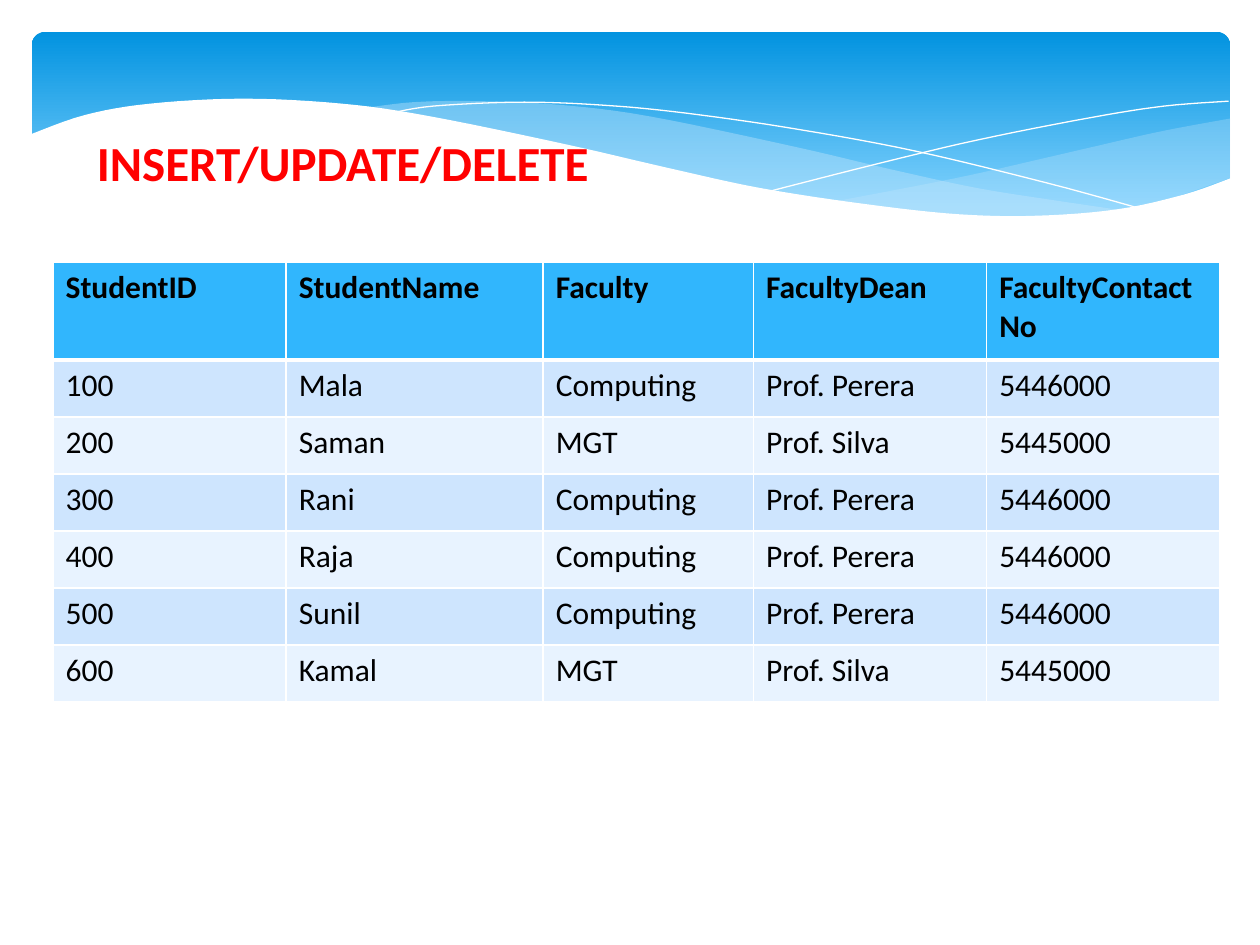
from dataclasses import dataclass

from lxml.etree import SubElement
from pptx import Presentation
from pptx.dml.color import RGBColor
from pptx.enum.shapes import MSO_SHAPE
from pptx.enum.text import MSO_ANCHOR, MSO_AUTO_SIZE, PP_ALIGN
from pptx.oxml.ns import qn
from pptx.util import Cm, Pt


@dataclass(frozen=True)
class Theme:
    font: str = "Calibri"
    title_size: int = 28
    table_size: int = 18
    title: str = "FF0000"
    text: str = "000000"
    paper: str = "FFFFFF"
    banner_top: str = "0293E0"
    banner_bottom: str = "83D3FE"
    wave: str = "C6E7FC"
    header: str = "31B6FD"
    bands: tuple = ("CEE5FE", "E8F3FF")


THEME = Theme()

# Edges of the waves, in centimetres from the banner's top left corner.
RIGHT_WAVE = [
    [(24.16, 1.75), (22.76, 2.01), (21.23, 2.36), (19.15, 2.84), (17.88, 3.1), (16.15, 3.43)],
    [(16.15, 3.43), (17.27, 3.56), (18.59, 3.68), (20.04, 3.73), (21.29, 3.68), (22.56, 3.48),
     (24.16, 2.95)],
]
MIDDLE_WAVE = [
    [(6.63, 1.55), (7.7, 1.42), (9.02, 1.4), (10.59, 1.47), (12.42, 1.7), (15.34, 2.31),
     (17.3, 2.77), (19.05, 3.15), (20.62, 3.4), (22.05, 3.61)],
    [(22.05, 3.61), (21.13, 3.71), (19.86, 3.76), (18.36, 3.68), (16.64, 3.51), (14.63, 3.18),
     (12.83, 2.79), (10.77, 2.31), (9.09, 1.93), (7.57, 1.65), (6.63, 1.55)],
]
FALLING_LINE = [
    [(7.21, 1.65), (8.1, 1.5), (9.93, 1.42), (11.79, 1.5), (13.49, 1.68), (15.52, 1.98),
     (17.83, 2.41), (20.47, 3.05), (22.4, 3.58)],
]
RISING_LINE = [
    [(14.94, 3.2), (17.02, 2.67), (19.08, 2.18), (21.36, 1.73), (22.83, 1.5), (24.13, 1.4)],
]
PAPER_WAVE = [
    [(-0.05, 2.08), (1.07, 1.68), (2.39, 1.45), (4.27, 1.35), (6.25, 1.45), (8, 1.7),
     (10.72, 2.26), (12.8, 2.74), (14.68, 3.15), (16.84, 3.48), (18.69, 3.68), (20.27, 3.71),
     (21.89, 3.58), (23.24, 3.28), (24.18, 2.95)],
    [(24.18, 5.05), (-0.05, 5.05)],
]

COLUMN_WIDTHS = [4.7, 5.18, 4.24, 4.7, 4.7]
HEADER_HEIGHT, ROW_HEIGHT = 1.97, 1.15
HEADINGS = ["StudentID", "StudentName", "Faculty", "FacultyDean", "FacultyContactNo"]
FACULTIES = {"Computing": ("Prof. Perera", "5446000"), "MGT": ("Prof. Silva", "5445000")}
STUDENTS = [
    ("100", "Mala", "Computing"),
    ("200", "Saman", "MGT"),
    ("300", "Rani", "Computing"),
    ("400", "Raja", "Computing"),
    ("500", "Sunil", "Computing"),
    ("600", "Kamal", "MGT"),
]


def rgb(value):
    return RGBColor.from_string(value)


def smooth(points, steps=6):
    """Run a Catmull-Rom curve through the points."""
    if len(points) < 3:
        return points
    padded = [points[0], *points, points[-1]]
    curve = [points[0]]
    for a, b, c, d in zip(padded, padded[1:], padded[2:], padded[3:]):
        for step in range(1, steps + 1):
            t = step / steps
            curve.append(tuple(
                (2 * q + (r - p) * t + (2 * p - 5 * q + 4 * r - s) * t ** 2
                 + (3 * q - p - 3 * r + s) * t ** 3) / 2
                for p, q, r, s in zip(a, b, c, d)))
    return curve


def add_outline(page, left, top, edges, closed):
    points = [(Cm(left + x), Cm(top + y)) for edge in edges for x, y in smooth(edge)]
    builder = page.shapes.build_freeform(*points[0])
    builder.add_line_segments(points[1:], close=closed)
    outline = builder.convert_to_shape()
    outline.shadow.inherit = False
    return outline


def add_wave(page, left, top, edges, color, opacity=100):
    wave = add_outline(page, left, top, edges, closed=True)
    wave.line.fill.background()
    wave.fill.solid()
    wave.fill.fore_color.rgb = rgb(color)
    if opacity < 100:
        tint = wave.fill._xPr.find(".//" + qn("a:srgbClr"))
        SubElement(tint, qn("a:alpha"), val=str(opacity * 1000))


def add_hairline(page, left, top, edges):
    hairline = add_outline(page, left, top, edges, closed=False)
    hairline.fill.background()
    hairline.line.color.rgb = rgb(THEME.paper)
    hairline.line.width = Pt(0)


def add_banner(page, left, top, width, height):
    banner = page.shapes.add_shape(
        MSO_SHAPE.ROUNDED_RECTANGLE, Cm(left), Cm(top), Cm(width), Cm(height))
    banner.adjustments[0] = 0.07
    banner.shadow.inherit = False
    banner.line.fill.background()
    banner.fill.gradient()
    banner.fill.gradient_angle = 270
    stops = zip(banner.fill.gradient_stops, (0, 0.9), (THEME.banner_top, THEME.banner_bottom))
    for stop, position, color in stops:
        stop.position = position
        stop.color.rgb = rgb(color)

    add_wave(page, left, top, RIGHT_WAVE, THEME.wave, opacity=29)
    add_wave(page, left, top, MIDDLE_WAVE, THEME.wave, opacity=40)
    add_hairline(page, left, top, FALLING_LINE)
    add_hairline(page, left, top, RISING_LINE)
    add_wave(page, left, top, PAPER_WAVE, THEME.paper)


def set_font(para, size, color, bold):
    para.font.name = THEME.font
    para.font.size = Pt(size)
    para.font.bold = bold
    para.font.color.rgb = rgb(color)


def set_borders(cell, top, bottom):
    """Draw the cell's four borders; top and bottom are widths in points."""
    properties = cell._tc.get_or_add_tcPr()
    for side, width in (("L", 1), ("R", 1), ("T", top), ("B", bottom)):
        border = SubElement(properties, qn(f"a:ln{side}"), w=str(Pt(width)))
        fill = SubElement(border, qn("a:solidFill"))
        SubElement(fill, qn("a:srgbClr"), val=THEME.paper)


def add_student_table(page, left, top):
    rows = [HEADINGS] + [[*student, *FACULTIES[student[2]]] for student in STUDENTS]
    heights = [HEADER_HEIGHT] + [ROW_HEIGHT] * len(STUDENTS)
    table = page.shapes.add_table(
        len(rows), len(HEADINGS), Cm(left), Cm(top),
        Cm(sum(COLUMN_WIDTHS)), Cm(sum(heights))).table
    for column, width in zip(table.columns, COLUMN_WIDTHS):
        column.width = Cm(width)
    for index, (values, height) in enumerate(zip(rows, heights)):
        table.rows[index].height = Cm(height)
        is_header = index == 0
        color = THEME.header if is_header else THEME.bands[(index - 1) % 2]
        for cell, value in zip(table.rows[index].cells, values):
            set_borders(cell, top=3 if index == 1 else 1, bottom=3 if is_header else 1)
            cell.fill.solid()
            cell.fill.fore_color.rgb = rgb(color)
            cell.text = value
            set_font(cell.text_frame.paragraphs[0], THEME.table_size, THEME.text, is_header)


def place_title(page, text, left, top, width, height):
    """Format the title and bring it in front of the banner."""
    title = page.shapes.title
    title.left, title.top, title.width, title.height = map(Cm, (left, top, width, height))
    frame = title.text_frame
    frame.text = text
    frame.word_wrap = True
    frame.auto_size = MSO_AUTO_SIZE.NONE
    frame.vertical_anchor = MSO_ANCHOR.TOP
    para = frame.paragraphs[0]
    para.alignment = PP_ALIGN.LEFT
    set_font(para, THEME.title_size, THEME.title, True)
    page.shapes._spTree.append(title._element)


def main():
    deck = Presentation()
    deck.slide_width, deck.slide_height = Cm(25.4), Cm(19.05)
    page = deck.slides.add_slide(deck.slide_layouts[5])
    add_banner(page, 0.64, 0.64, 24.16, 3.96)
    add_student_table(page, 1.07, 5.29)
    place_title(page, "INSERT/UPDATE/DELETE", 1.7, 2.54, 11, 1.45)
    deck.save("out.pptx")


if __name__ == "__main__":
    main()
